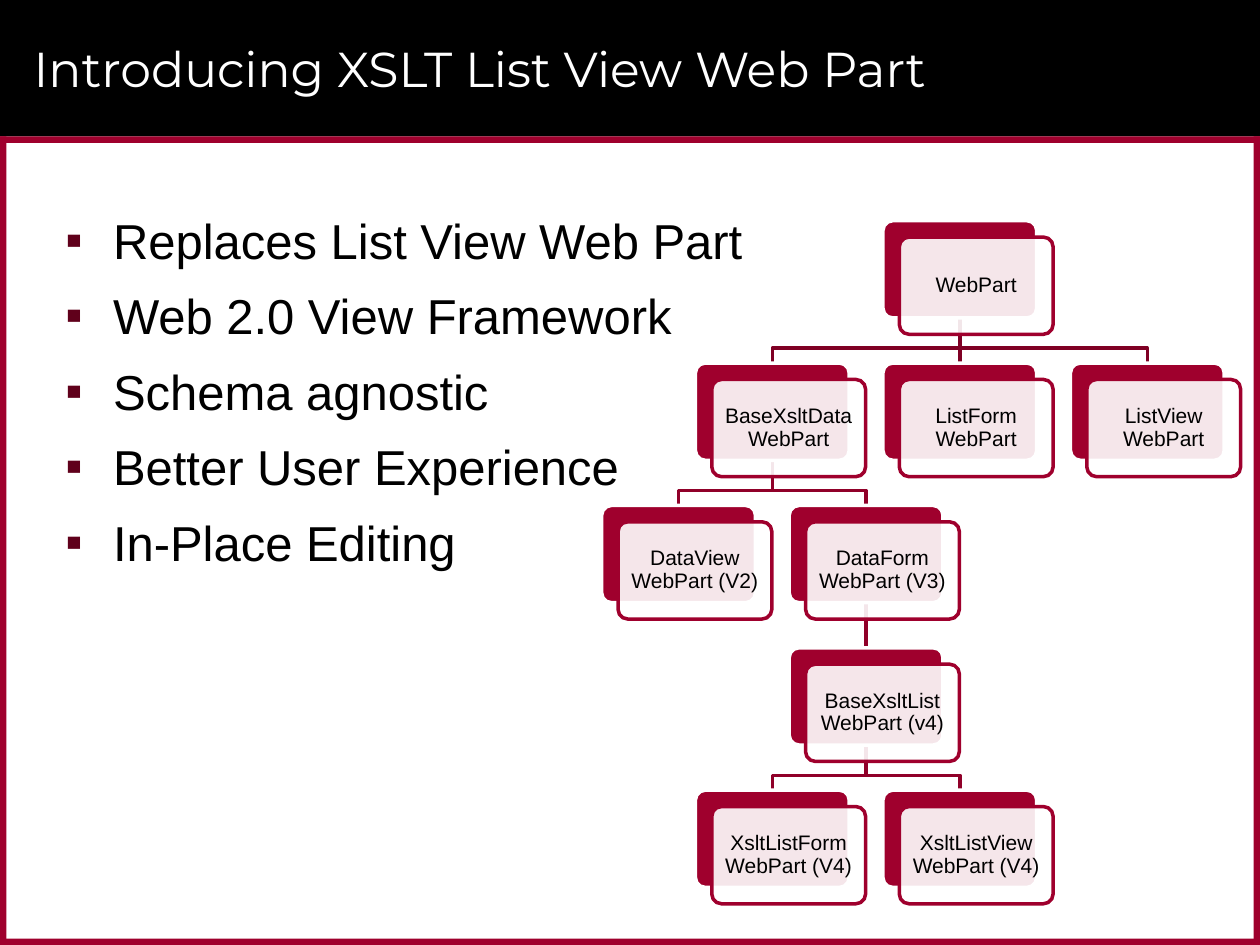
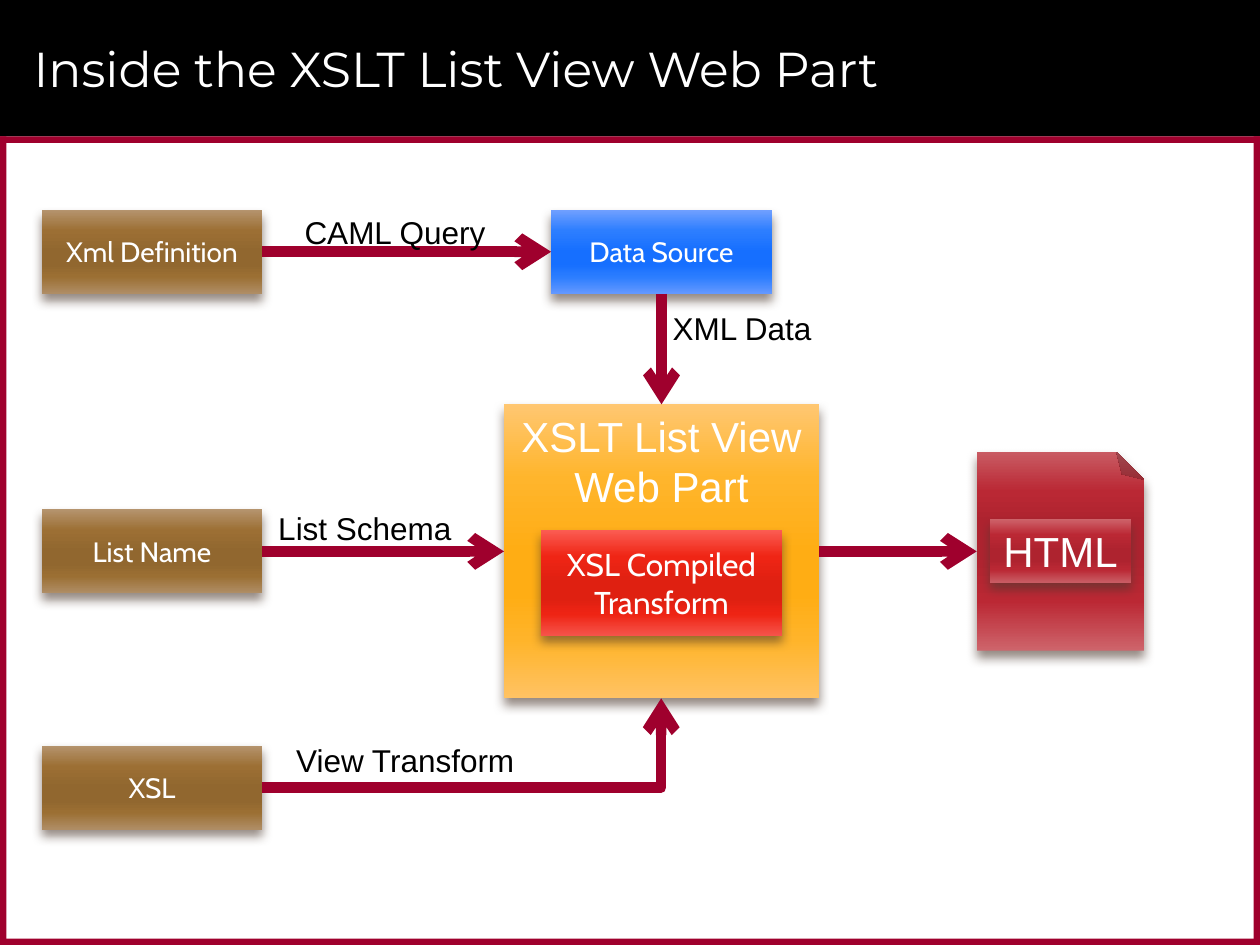
from dataclasses import dataclass
from typing import NamedTuple

import lxml.etree
import pptx
import pptx.dml.color
import pptx.enum.shapes
import pptx.enum.text
import pptx.oxml.ns
import pptx.shapes.autoshape
import pptx.shapes.connector
import pptx.slide
import pptx.text.text
import pptx.util

Cm = pptx.util.Cm
Pt = pptx.util.Pt
Kind = pptx.enum.shapes.MSO_SHAPE
Wire = pptx.enum.shapes.MSO_CONNECTOR
Side = pptx.enum.text.PP_ALIGN
Stand = pptx.enum.text.MSO_ANCHOR
Shape = pptx.shapes.autoshape.Shape
Line = pptx.shapes.connector.Connector
Slide = pptx.slide.Slide
Hues = tuple[str, ...]


@dataclass(frozen=True)
class Theme:
    black: str = "000000"
    white: str = "FFFFFF"
    red: str = "9F002D"
    bullet: str = "60001B"
    shade: str = "4E3B30"
    trunk: str = "7F0024"
    branch: str = "900029"
    # Gradient colours, one for each of the stops
    stops: tuple[int, ...] = (0, 25, 50, 65, 80, 100)
    brown: Hues = ("B5946E", "9C6F34", "91672F", "91672F", "9B6F33", "AF8D65")
    blue: Hues = ("71A0FF", "2D7EFF", "166FFF", "166FFF", "2B7DFF", "6398FF")
    wine: Hues = ("CE646B", "BB2834", "AE232F", "AE232F", "BA2834", "C95B63")
    gold: Hues = ("FFC771", "FFB52C", "FFAD14", "FFAD14", "FFB42A", "FFC263")
    flame: Hues = ("FB5C52", "EF2515", "DF2011", "DF2011", "EE2414", "F65349")
    plain: str = "Arial"
    head: str = "Montserrat"
    soft: str = "Cabin"
    large: int = 28
    mid: int = 24
    label: int = 18
    small: int = 16
    tiny: int = 12


THEME = Theme()


class Box(NamedTuple):
    x: float
    y: float
    w: float
    h: float


class Type(NamedTuple):
    size: int
    font: str = THEME.plain
    hue: str = THEME.black


class Node(NamedTuple):
    text: str
    slot: int
    row: int
    above: int | None = None


class Tile(NamedTuple):
    text: str
    box: Box
    hues: Hues
    type: Type
    stand: Stand = Stand.MIDDLE
    kind: Kind = Kind.RECTANGLE
    wrap: bool = True


class Note(NamedTuple):
    text: str
    x: float
    y: float
    w: float


# Shared drawing helpers
def rgb(hue: str) -> pptx.dml.color.RGBColor:
    return pptx.dml.color.RGBColor.from_string(hue)


def sub(node: lxml.etree._Element, tag: str, **atts: object) -> lxml.etree._Element:
    pairs = {key: str(val) for key, val in atts.items()}
    return lxml.etree.SubElement(node, pptx.oxml.ns.qn(tag), pairs)


def style(para: pptx.text.text._Paragraph, look: Type) -> None:
    para.font.size = Pt(look.size)
    para.font.name = look.font
    para.font.color.rgb = rgb(look.hue)


def block(slide: Slide, box: Box, kind: Kind = Kind.RECTANGLE) -> Shape:
    shape = slide.shapes.add_shape(kind, *map(Cm, box))
    shape.shadow.inherit = False
    shape.line.fill.background()
    return shape


def solid(shape: Shape, hue: str) -> None:
    shape.fill.solid()
    shape.fill.fore_color.rgb = rgb(hue)


def stroke(shape: Shape | Line, hue: str, width: float) -> None:
    shape.line.color.rgb = rgb(hue)
    shape.line.width = Pt(width)


def write(shape: Shape, text: str, look: Type, align: Side = Side.CENTER,
          stand: Stand = Stand.MIDDLE, wrap: bool = True) -> None:
    frame = shape.text_frame
    frame.word_wrap = wrap
    frame.vertical_anchor = stand
    para = frame.paragraphs[0]
    para.text = text
    para.alignment = align
    style(para, look)


def wire(slide: Slide, kind: Wire, ends: tuple[float, ...], hue: str, width: float) -> Line:
    line = slide.shapes.add_connector(kind, *map(Cm, ends))
    stroke(line, hue, width)
    sub(line.element.spPr, "a:effectLst")
    return line


def join(slide: Slide, start: Shape, out: int, end: Shape, into: int,
         hue: str, width: float) -> Line:
    line = wire(slide, Wire.STRAIGHT, (0, 0, 0, 0), hue, width)
    line.begin_connect(start, out)
    line.end_connect(end, into)
    return line


def begin(deck: pptx.presentation.Presentation, title: str) -> Slide:
    slide = deck.slides.add_slide(deck.slide_layouts[6])
    solid(block(slide, Box(0, 0, 25.4, 2.75)), THEME.black)
    edge = 0.13
    for bar in (Box(0, 2.75, 25.4, edge), Box(0, 19.05 - edge, 25.4, edge),
                Box(25.4 - edge, 2.75, edge, 16.3), Box(0, 2.75, edge, 16.3)):
        solid(block(slide, bar), THEME.red)
    head = slide.shapes.add_textbox(Cm(0.43), Cm(0.2), Cm(23.93), Cm(2.34))
    write(head, title, Type(THEME.large, THEME.head, THEME.white), Side.LEFT)
    return slide


# Slide 1: bullets and class tree
POINTS = ("Replaces List View Web Part", "Web 2.0 View Framework", "Schema agnostic",
          "Better User Experience", "In-Place Editing")

NODES = (
    Node("WebPart", 3, 0),
    Node("BaseXsltData\nWebPart", 1, 1, 0),
    Node("DataView\nWebPart (V2)", 0, 2, 1),
    Node("DataForm\nWebPart (V3)", 2, 2, 1),
    Node("BaseXsltList\nWebPart (v4)", 2, 3, 3),
    Node("XsltListForm\nWebPart (V4)", 1, 4, 4),
    Node("XsltListView\nWebPart (V4)", 3, 4, 4),
    Node("ListForm\nWebPart", 3, 1, 0),
    Node("ListView\nWebPart", 5, 1, 0),
)


def place(node: Node, shift: float = 0) -> Box:
    return Box(12.13 + 1.89 * node.slot + shift, 4.45 + 2.87 * node.row + shift, 3.1, 1.96)


def card(slide: Slide, box: Box, fill: str, edge: str) -> Shape:
    shape = block(slide, box, Kind.ROUNDED_RECTANGLE)
    shape.adjustments[0] = 0.1
    solid(shape, fill)
    stroke(shape, edge, 2)
    return shape


def elbow(slide: Slide, top: Shape, low: Shape, hue: str) -> Shape:
    start, end = (s.left + s.width // 2 for s in (top, low))
    foot = top.top + top.height
    bend = foot + Cm(0.61)
    pen = slide.shapes.build_freeform(start, foot)
    pen.add_line_segments([(start, bend), (end, bend), (end, low.top)], close=False)
    shape = pen.convert_to_shape()
    shape.shadow.inherit = False
    shape.fill.background()
    stroke(shape, hue, 2)
    return shape


def tree(slide: Slide) -> None:
    backs = [card(slide, place(node), THEME.red, THEME.white) for node in NODES]
    # Links lie beneath all cards
    for node, back in zip(NODES, backs):
        if node.above is None:
            continue
        top = backs[node.above]
        hue = THEME.trunk if node.row == 1 else THEME.branch
        if NODES[node.above].slot == node.slot:
            link = join(slide, top, 2, back, 0, hue, 2)
        else:
            link = elbow(slide, top, back, hue)
        backs[0].element.addprevious(link.element)
    for node in NODES:
        front = card(slide, place(node, 0.33), THEME.white, THEME.red)
        tint = front.element.spPr.find(".//" + pptx.oxml.ns.qn("a:srgbClr"))
        sub(tint, "a:alpha", val=90000)
        frame = front.text_frame
        frame.margin_left = frame.margin_right = Cm(0.13)
        write(front, node.text, Type(THEME.tiny))
        frame.paragraphs[0].line_spacing = 0.9


def points(slide: Slide) -> None:
    frame = slide.shapes.add_textbox(Cm(1.07), Cm(4.11), Cm(23.29), Cm(14.4)).text_frame
    frame.word_wrap = True
    for num, text in enumerate(POINTS):
        para = frame.add_paragraph() if num else frame.paragraphs[0]
        para.text = text
        para.space_before = Pt(7.5 if num else 0)
        para.space_after = Pt(2)
        props = para._p.get_or_add_pPr()
        props.set("marL", str(Cm(0.96)))
        props.set("indent", str(-Cm(0.96)))
        sub(sub(props, "a:buClr"), "a:srgbClr", val=THEME.bullet)
        sub(props, "a:buFont", typeface=THEME.plain)
        sub(props, "a:buChar", char="▪")
        style(para, Type(THEME.large))


# Slide 2: data flow
SOFT = Type(THEME.small, THEME.soft, THEME.white)
BOLD = Type(THEME.mid, THEME.plain, THEME.white)

TILES = {
    "query": Tile("Xml Definition", Box(0.84, 4.23, 4.45, 1.69), THEME.brown, SOFT),
    "list": Tile("List Name", Box(0.84, 10.27, 4.45, 1.69), THEME.brown, SOFT),
    "xsl": Tile("XSL", Box(0.84, 15.03, 4.45, 1.69), THEME.brown, SOFT),
    "data": Tile("Data Source", Box(11.11, 4.23, 4.45, 1.69), THEME.blue, SOFT),
    "page": Tile("", Box(19.69, 9.11, 3.38, 4.01), THEME.wine, BOLD, kind=Kind.FOLDED_CORNER),
    "html": Tile("HTML", Box(19.96, 10.46, 2.84, 1.28), THEME.wine, BOLD, wrap=False),
    "part": Tile("XSLT List View Web Part", Box(10.16, 8.15, 6.35, 5.93), THEME.gold, BOLD,
                 Stand.TOP),
    "core": Tile("XSL Compiled\nTransform", Box(10.9, 10.69, 4.87, 2.12), THEME.flame,
                 Type(THEME.label, THEME.soft, THEME.white)),
}

# Start, its side, end, its side
FLOWS = (("query", 3, "data", 1), ("data", 2, "part", 0),
         ("list", 3, "part", 1), ("part", 3, "page", 1))

NOTES = (Note("CAML Query", 5.89, 4.17, 4.19), Note("List Schema", 5.36, 10.13, 4.04),
         Note("View Transform", 5.72, 14.81, 4.95), Note("XML Data", 13.31, 6.1, 3.33))


def glossy(slide: Slide, tile: Tile) -> Shape:
    shape = block(slide, tile.box, tile.kind)
    shape.fill.gradient()
    shape.fill.gradient_angle = 270
    props = shape.element.spPr
    stops = props.find(".//" + pptx.oxml.ns.qn("a:gsLst"))
    stops.clear()
    for pos, hue in zip(THEME.stops, tile.hues):
        sub(sub(stops, "a:gs", pos=pos * 1000), "a:srgbClr", val=hue)
    glow = sub(props.find(pptx.oxml.ns.qn("a:effectLst")), "a:outerShdw", blurRad=Pt(6),
               dist=Pt(4), dir=5400000, algn="t", rotWithShape=0)
    sub(sub(glow, "a:srgbClr", val=THEME.shade), "a:alpha", val=60000)
    if tile.kind == Kind.FOLDED_CORNER:
        props.find(pptx.oxml.ns.qn("a:xfrm")).set("flipV", "1")
    if tile.text:
        write(shape, tile.text, tile.type, stand=tile.stand, wrap=tile.wrap)
    return shape


def arrow(line: Line) -> None:
    sub(line.line._get_or_add_ln(), "a:tailEnd", type="arrow")


def flow(slide: Slide) -> None:
    made = {key: glossy(slide, tile) for key, tile in TILES.items()}
    for start, out, end, into in FLOWS:
        arrow(join(slide, made[start], out, made[end], into, THEME.red, 6))
    # One bend, from XSL up to the web part
    bent = wire(slide, Wire.ELBOW, (5.29, 15.88, 13.33, 14.08), THEME.red, 6)
    bent.element.spPr.find(pptx.oxml.ns.qn("a:prstGeom")).set("prst", "bentConnector2")
    arrow(bent)
    for note in NOTES:
        label = slide.shapes.add_textbox(*map(Cm, (note.x, note.y, note.w, 1.02)))
        write(label, note.text, Type(THEME.label), Side.LEFT, Stand.TOP, False)


def main() -> None:
    deck = pptx.Presentation()
    deck.slide_width, deck.slide_height = Cm(25.4), Cm(19.05)
    first = begin(deck, "Introducing XSLT List View Web Part")
    tree(first)
    points(first)
    flow(begin(deck, "Inside the XSLT List View Web Part"))
    deck.save("out.pptx")


if __name__ == "__main__":
    main()
